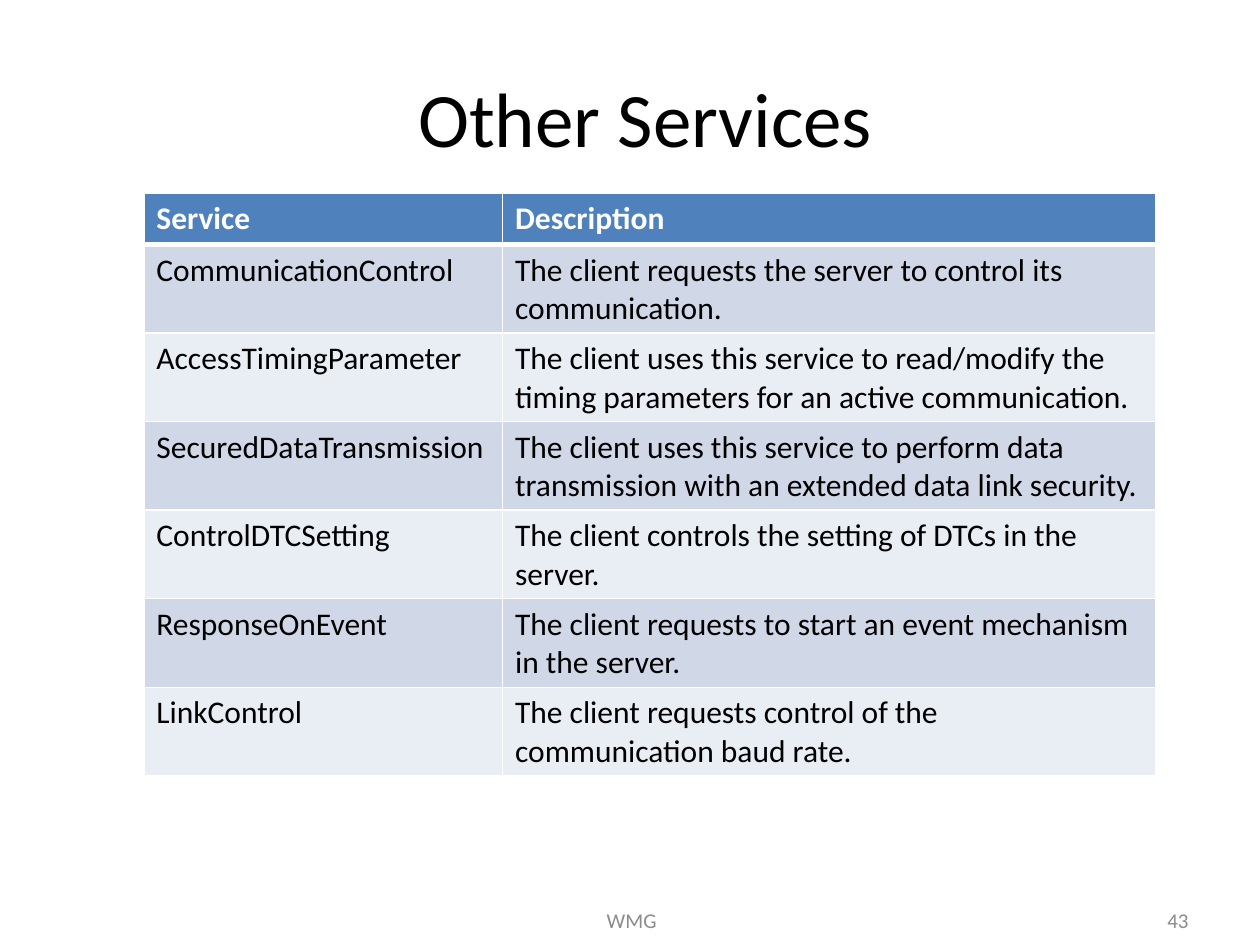
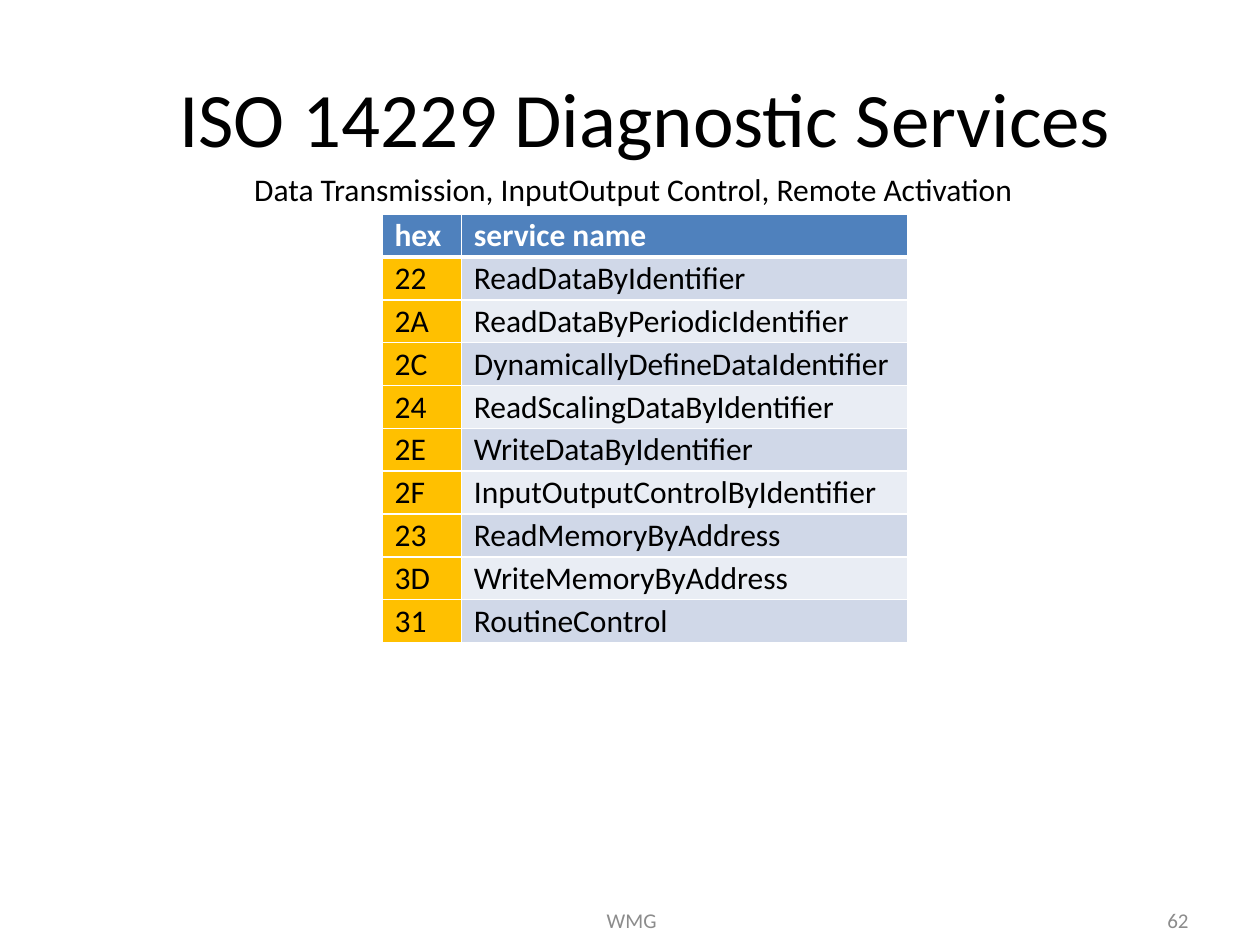
"""Build two slides that list diagnostic services in banded tables."""
from dataclasses import dataclass
from typing import Optional

import pptx
import pptx.dml.color
import pptx.enum.text
import pptx.oxml
import pptx.oxml.ns
import pptx.slide
import pptx.text.text
import pptx.util

Cm = pptx.util.Cm
Pt = pptx.util.Pt
Align = pptx.enum.text.PP_ALIGN


@dataclass(frozen=True)
class Theme:
    font: str = "Calibri"
    black: str = "000000"
    white: str = "FFFFFF"
    grey: str = "8C8C8C"
    blue: str = "4F81BD"
    gold: str = "FFC000"
    bands: tuple[str, str] = ("D0D8E8", "E9EDF4")
    title: int = 44
    body: int = 18
    foot: int = 12
    rule: int = 1
    thick: int = 3


@dataclass(frozen=True)
class Label:
    left: float
    top: float
    width: float
    height: float
    size: int
    color: str
    align: Align = Align.CENTER
    wrap: bool = True


@dataclass(frozen=True)
class Grid:
    left: float
    top: float
    cols: tuple[float, ...]
    row: float
    inset: float
    rows: tuple[tuple[str, ...], ...]
    first: Optional[str] = None


@dataclass(frozen=True)
class Page:
    title: str
    number: str
    grid: Grid
    note: str = ""


THEME = Theme()
TITLE = Label(1.9, 0.76, 22.23, 3.18, THEME.title, THEME.black)
NOTE = Label(4.78, 3.3, 15.98, 1.02, THEME.body, THEME.black, wrap=False)
FOOT = Label(8.71, 18.03, 8.05, 1.02, THEME.foot, THEME.grey)
NUMBER = Label(18.29, 18.03, 5.92, 1.02, THEME.foot, THEME.grey, Align.RIGHT)

OTHER = Grid(2.9, 3.89, (7.23, 13.16), 1.04, 0.13, (
    ("Service", "Description"),
    ("CommunicationControl", "The client requests the server to control its communication."),
    ("AccessTimingParameter",
     "The client uses this service to read/modify the timing parameters for an active communication."),
    ("SecuredDataTransmission",
     "The client uses this service to perform data transmission with an extended data link security."),
    ("ControlDTCSetting", "The client controls the setting of DTCs in the server."),
    ("ResponseOnEvent", "The client requests to start an event mechanism in the server."),
    ("LinkControl", "The client requests control of the communication baud rate."),
))
CODES = Grid(7.7, 4.32, (1.6, 8.99), 0.66, 0.05, (
    ("hex", "service name"),
    ("22", "ReadDataByIdentifier"),
    ("2A", "ReadDataByPeriodicIdentifier"),
    ("2C", "DynamicallyDefineDataIdentifier"),
    ("24", "ReadScalingDataByIdentifier"),
    ("2E", "WriteDataByIdentifier"),
    ("2F", "InputOutputControlByIdentifier"),
    ("23", "ReadMemoryByAddress"),
    ("3D", "WriteMemoryByAddress"),
    ("31", "RoutineControl"),
), THEME.gold)
PAGES = (
    Page("Other Services", "43", OTHER),
    Page("ISO 14229 Diagnostic Services", "62", CODES,
         "Data Transmission, InputOutput Control, Remote Activation"),
)


def rgb(code: str) -> pptx.dml.color.RGBColor:
    return pptx.dml.color.RGBColor.from_string(code)


def style(frame: pptx.text.text.TextFrame, size: int, color: str, bold: bool = False) -> None:
    for part in frame.paragraphs:
        for run in part.runs:
            run.font.name = THEME.font
            run.font.size = Pt(size)
            run.font.bold = bold
            run.font.color.rgb = rgb(color)


def write(slide: pptx.slide.Slide, label: Label, text: str) -> None:
    box = slide.shapes.add_textbox(Cm(label.left), Cm(label.top), Cm(label.width), Cm(label.height))
    frame = box.text_frame
    frame.text = text
    frame.word_wrap = label.wrap
    frame.vertical_anchor = pptx.enum.text.MSO_ANCHOR.MIDDLE
    frame.paragraphs[0].alignment = label.align
    style(frame, label.size, label.color)


def edge(cell, row: int) -> None:
    props = cell._tc.get_or_add_tcPr()
    wide = {"T": row == 1, "B": row == 0}
    for side in "LRTB":
        width = Pt(THEME.thick if wide.get(side) else THEME.rule)
        props.append(pptx.oxml.parse_xml(
            f'<a:ln{side} {pptx.oxml.ns.nsdecls("a")} w="{width}"><a:solidFill>'
            f'<a:srgbClr val="{THEME.white}"/></a:solidFill></a:ln{side}>'))


def shade(grid: Grid, row: int, col: int) -> str:
    if row == 0:
        return THEME.blue
    if col == 0 and grid.first:
        return grid.first
    return THEME.bands[(row - 1) % 2]


def draw(slide: pptx.slide.Slide, grid: Grid) -> None:
    count = len(grid.rows)
    table = slide.shapes.add_table(count, len(grid.cols), Cm(grid.left), Cm(grid.top),
                                   Cm(sum(grid.cols)), Cm(grid.row * count)).table
    for col, width in zip(table.columns, grid.cols):
        col.width = Cm(width)
    for row, texts in enumerate(grid.rows):
        table.rows[row].height = Cm(grid.row)
        for col, text in enumerate(texts):
            cell = table.cell(row, col)
            cell.text_frame.text = text
            cell.margin_top = cell.margin_bottom = Cm(grid.inset)
            edge(cell, row)
            cell.fill.solid()
            cell.fill.fore_color.rgb = rgb(shade(grid, row, col))
            head = row == 0
            style(cell.text_frame, THEME.body, THEME.white if head else THEME.black, head)


def main() -> None:
    deck = pptx.Presentation()
    deck.slide_width, deck.slide_height = Cm(25.4), Cm(19.05)
    for page in PAGES:
        slide = deck.slides.add_slide(deck.slide_layouts[6])
        write(slide, TITLE, page.title)
        write(slide, FOOT, "WMG")
        write(slide, NUMBER, page.number)
        draw(slide, page.grid)
        if page.note:
            write(slide, NOTE, page.note)
    deck.save("out.pptx")


if __name__ == "__main__":
    main()
